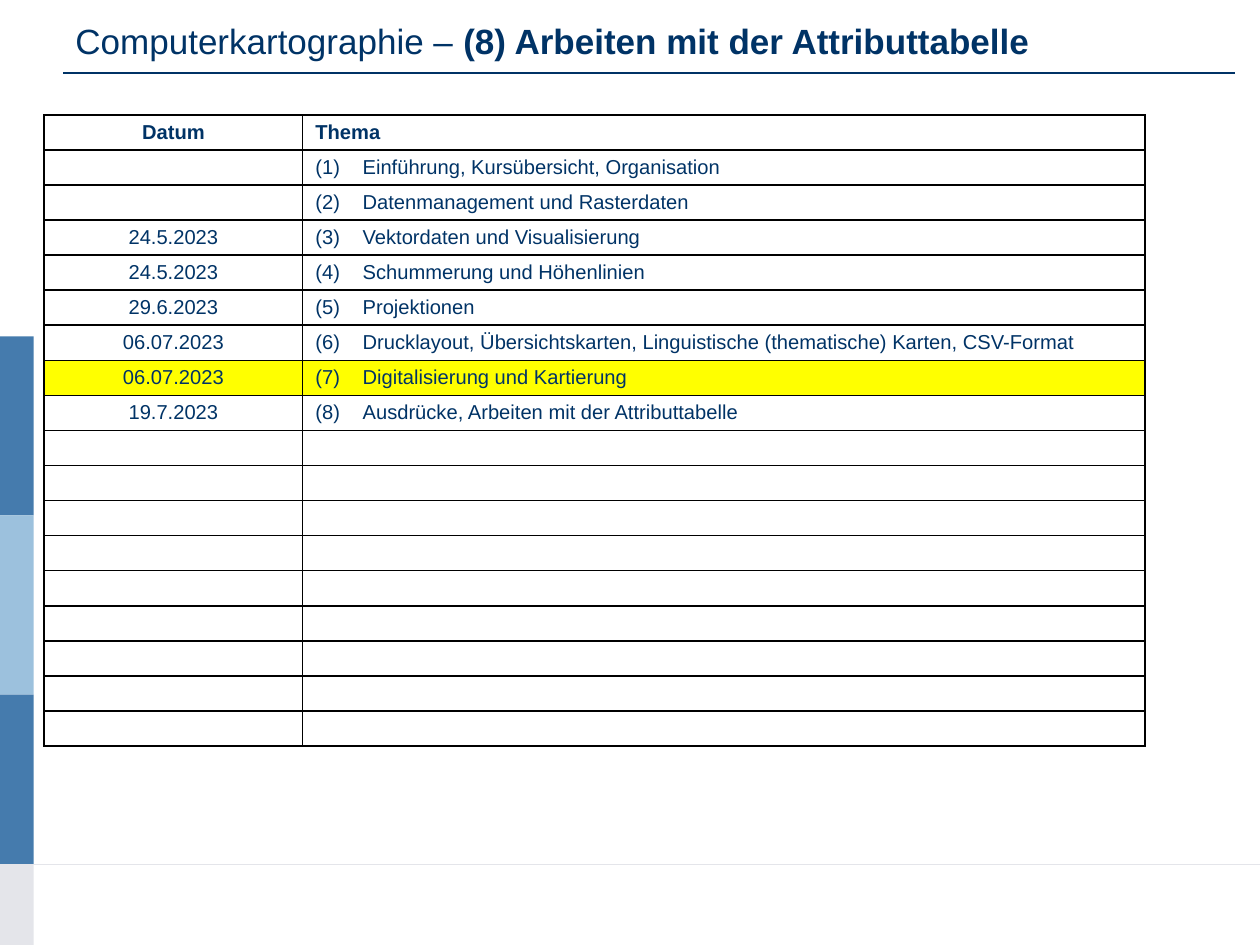
from lxml import etree
from pptx import Presentation
from pptx.dml.color import RGBColor
from pptx.enum import shapes, text
from pptx.oxml.ns import qn
from pptx.util import Pt

TITLE = [("Computerkartographie – ", False),
         ("(8) Arbeiten mit der Attributtabelle", True)]
HEAD = ("Datum", "Thema")
TOPICS = [
    ("", "Einführung, Kursübersicht, Organisation"),
    ("", "Datenmanagement und Rasterdaten"),
    ("24.5.2023", "Vektordaten und Visualisierung"),
    ("24.5.2023", "Schummerung und Höhenlinien"),
    ("29.6.2023", "Projektionen"),
    ("06.07.2023", "Drucklayout, Übersichtskarten, Linguistische (thematische) Karten, CSV-Format"),
    ("06.07.2023", "Digitalisierung und Kartierung"),
    ("19.7.2023", "Ausdrücke, Arbeiten mit der Attributtabelle"),
]
MARKED = 7
SPARE = 9
# Side bar: top edge and colour of each block; the last one ends at the slide's foot
BARS = [(192.24, "mid"), (294.48, "light"), (397, "mid"), (493.92, "pale")]

THEME = dict(font="Arial", ink="003366", mid="457BAD", light="9CC1DD", pale="E4E5EA",
             paper="FFFFFF", mark="FFFF00", grid="000000", title=20, body=11.5)

WIDE, HIGH = 720, 540
BAR_W = 19.2
COLS = (147.8, 481.4)
ROW_H = 20.06
HANG = 27


def rgb(name):
    return RGBColor.from_string(THEME[name])


def write(frame, runs, size="body", align=text.PP_ALIGN.LEFT, hang=0):
    """Fill the first paragraph with (words, bold) runs."""
    frame.vertical_anchor = text.MSO_ANCHOR.MIDDLE
    para = frame.paragraphs[0]
    para.alignment = align
    if hang:
        props = para._p.get_or_add_pPr()
        props.set("marL", str(Pt(hang)))
        props.set("indent", str(-Pt(hang)))
    for words, bold in runs:
        run = para.add_run()
        run.text = words
        font = run.font
        font.name, font.size, font.bold = THEME["font"], Pt(THEME[size]), bold
        font.color.rgb = rgb("ink")
    if not runs:
        # An empty cell needs a type size, or its row grows
        end = etree.SubElement(para._p, qn("a:endParaRPr"))
        end.set("sz", str(int(THEME[size] * 100)))


def rule(slide, left, right, y, color, width):
    line = slide.shapes.add_connector(shapes.MSO_CONNECTOR.STRAIGHT,
                                      Pt(left), Pt(y), Pt(right), Pt(y))
    line.line.color.rgb = rgb(color)
    line.line.width = Pt(width)
    etree.SubElement(line._element.spPr, qn("a:effectLst"))


def border(cell):
    props = cell._tc.get_or_add_tcPr()
    for at, side in enumerate(("lnL", "lnR", "lnT", "lnB")):
        line = etree.Element(qn("a:" + side), w=str(Pt(1)))
        fill = etree.SubElement(line, qn("a:solidFill"))
        etree.SubElement(fill, qn("a:srgbClr"), val=THEME["grid"])
        props.insert(at, line)


def sidebar(slide):
    ends = [top for top, _ in BARS[1:]] + [HIGH]
    for (top, color), end in zip(BARS, ends):
        bar = slide.shapes.add_shape(shapes.MSO_SHAPE.RECTANGLE,
                                     0, Pt(top), Pt(BAR_W), Pt(end - top))
        bar.shadow.inherit = False
        bar.fill.solid()
        bar.fill.fore_color.rgb = rgb(color)
        bar.line.fill.background()
    rule(slide, 0, WIDE, BARS[-1][0], "pale", 0.5)


def heading(slide):
    box = slide.shapes.add_textbox(Pt(36), Pt(3.6), Pt(648), Pt(39.6))
    box.text_frame.word_wrap = True
    write(box.text_frame, TITLE, size="title")
    rule(slide, 36, 705.6, 41.76, "ink", 0.75)


def schedule(slide):
    rows = [HEAD]
    rows += [(date, f"({n})\t{topic}") for n, (date, topic) in enumerate(TOPICS, 1)]
    rows += [("", "")] * SPARE
    table = slide.shapes.add_table(len(rows), len(COLS), Pt(25.2), Pt(65.6),
                                   Pt(sum(COLS)), Pt(ROW_H * len(rows))).table
    table.first_row = table.horz_banding = False
    for col, width in zip(table.columns, COLS):
        col.width = Pt(width)
    for r, row in enumerate(rows):
        table.rows[r].height = Pt(ROW_H)
        for c, words in enumerate(row):
            cell = table.cell(r, c)
            cell.margin_top = cell.margin_bottom = Pt(2)
            cell.vertical_anchor = text.MSO_ANCHOR.MIDDLE
            cell.fill.solid()
            cell.fill.fore_color.rgb = rgb("mark" if r == MARKED else "paper")
            border(cell)
            write(cell.text_frame, [(words, r == 0)] if words else [],
                  align=text.PP_ALIGN.LEFT if c else text.PP_ALIGN.CENTER,
                  hang=HANG if c and r else 0)


def main():
    deck = Presentation()
    deck.slide_width, deck.slide_height = Pt(WIDE), Pt(HIGH)
    slide = deck.slides.add_slide(deck.slide_layouts[6])
    sidebar(slide)
    heading(slide)
    schedule(slide)
    deck.save("out.pptx")


if __name__ == "__main__":
    main()
